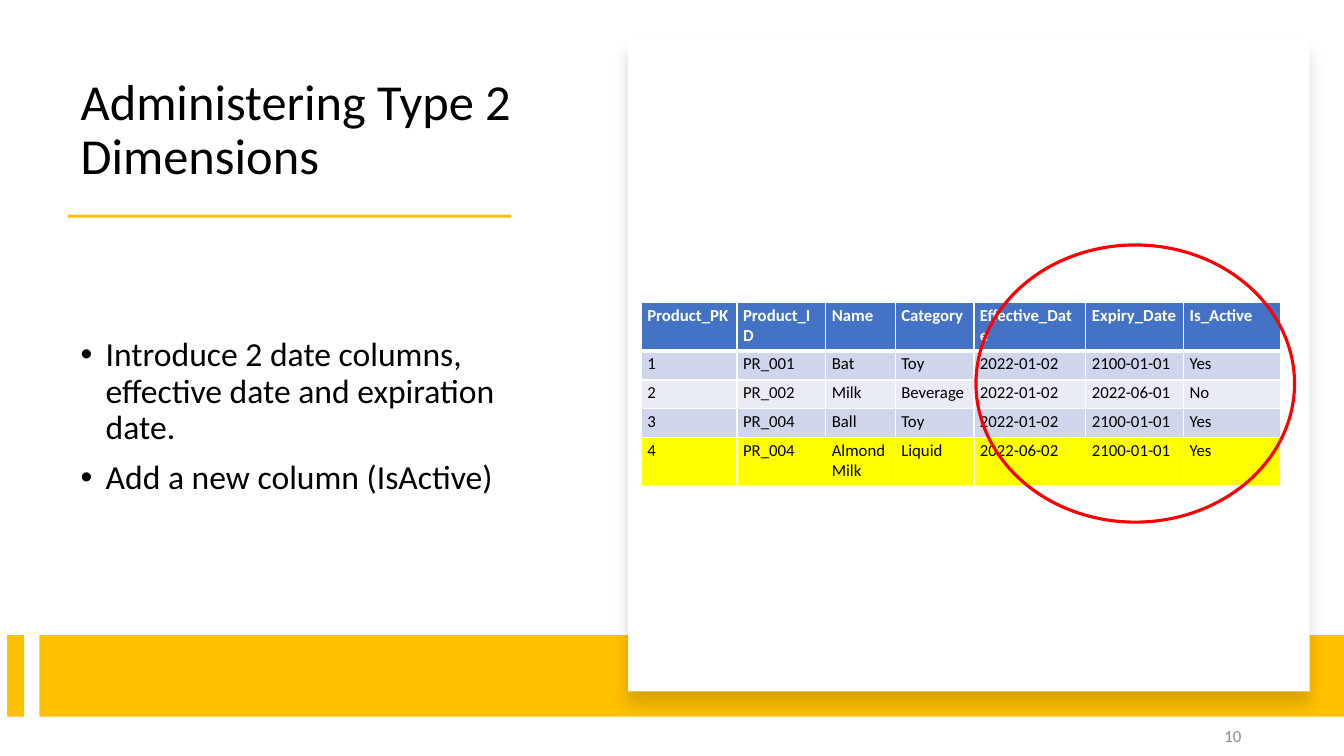
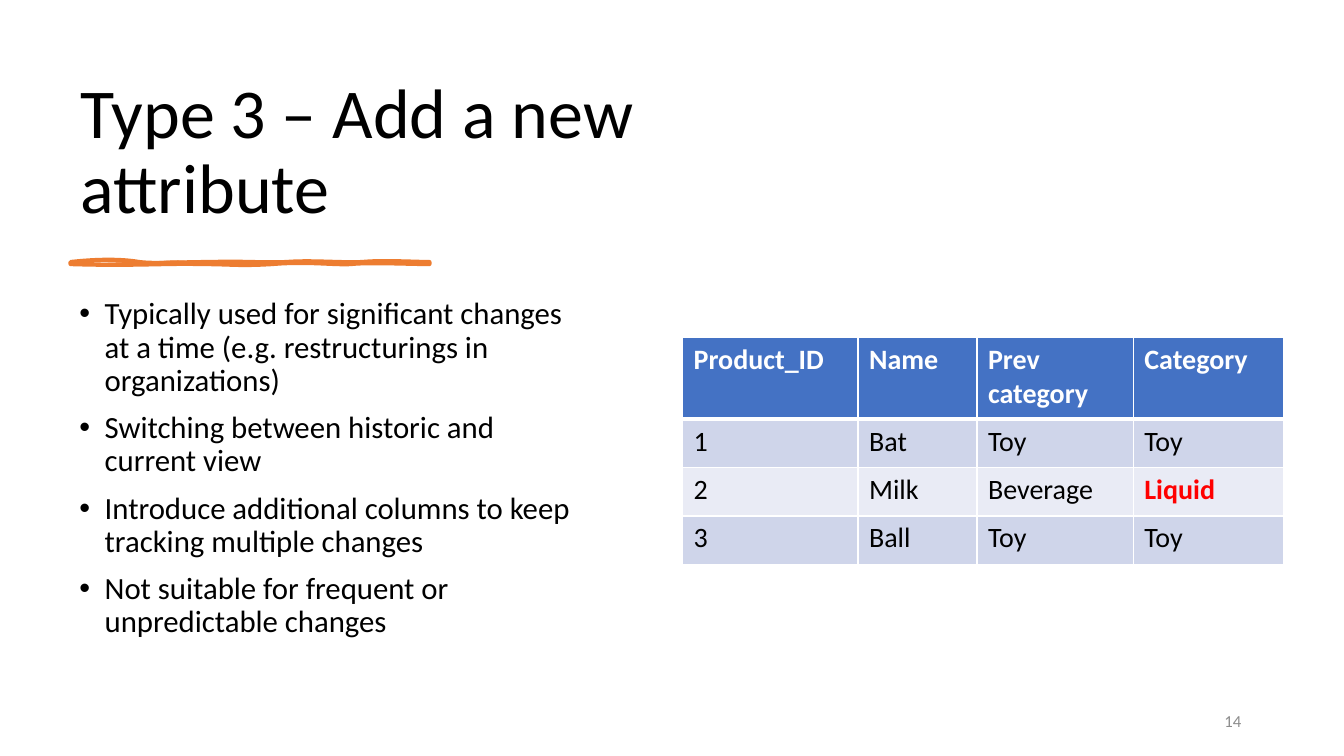
from copy import deepcopy
from dataclasses import dataclass

from lxml import etree
from pptx import Presentation
from pptx.dml.color import RGBColor
from pptx.enum.shapes import MSO_SHAPE
from pptx.enum.text import MSO_ANCHOR, MSO_AUTO_SIZE, PP_ALIGN
from pptx.oxml.ns import qn
from pptx.util import Inches, Pt

RECTANGLE, ELLIPSE = MSO_SHAPE.RECTANGLE, MSO_SHAPE.OVAL
TOP, MIDDLE, BOTTOM = MSO_ANCHOR.TOP, MSO_ANCHOR.MIDDLE, MSO_ANCHOR.BOTTOM
LEFT, RIGHT = PP_ALIGN.LEFT, PP_ALIGN.RIGHT
NO_AUTOFIT = MSO_AUTO_SIZE.NONE
TITLE_ONLY_LAYOUT = 5


@dataclass(frozen=True)
class Theme:
    font: str = "Calibri"
    text: str = "000000"
    white: str = "FFFFFF"
    gold: str = "FFC000"
    orange: str = "ED7D31"
    red: str = "FF0000"
    highlight: str = "FFFF00"
    header: str = "4472C4"
    bands: tuple = ("CFD5EA", "E9EBF5")
    muted: str = "8C8C8C"
    number_size: int = 12
    grid_width: int = 1
    header_rule_width: int = 3
    line_spacing: float = 0.9


THEME = Theme()

PRODUCT_HISTORY = [
    ["Product_PK", "Product_ID", "Name", "Category", "Effective_Date", "Expiry_Date", "Is_Active"],
    ["1", "PR_001", "Bat", "Toy", "2022-01-02", "2100-01-01", "Yes"],
    ["2", "PR_002", "Milk", "Beverage", "2022-01-02", "2022-06-01", "No"],
    ["3", "PR_004", "Ball", "Toy", "2022-01-02", "2100-01-01", "Yes"],
    ["4", "PR_004", "Almond Milk", "Liquid", "2022-06-02", "2100-01-01", "Yes"],
]
PREVIOUS_CATEGORIES = [
    ["Product_ID", "Name", "Prev category", "Category"],
    ["1", "Bat", "Toy", "Toy"],
    ["2", "Milk", "Beverage", "Liquid"],
    ["3", "Ball", "Toy", "Toy"],
]

# Each brush contour is a start point, then Bézier segments (two controls, end).
BRUSH_START = (0.7, 2.6)
BRUSH_OUTLINE = [
    (0.97, 2.57, 1.21, 2.57, 1.38, 2.6), (1.55, 2.62, 1.77, 2.6, 2.09, 2.6),
    (2.41, 2.59, 2.6, 2.61, 2.84, 2.6), (3.08, 2.58, 3.39, 2.61, 3.59, 2.6),
    (3.79, 2.58, 4.12, 2.6, 4.26, 2.6), (4.26, 2.6, 4.26, 2.61, 4.26, 2.62),
    (4.08, 2.62, 3.64, 2.6, 3.48, 2.62), (3.32, 2.63, 3.04, 2.59, 2.7, 2.62),
    (2.35, 2.64, 2.31, 2.62, 1.99, 2.62), (1.66, 2.61, 1.32, 2.64, 0.7, 2.62),
    (0.7, 2.61, 0.7, 2.6, 0.7, 2.6),
]
BRUSH_FILL = [
    (1.02, 2.62, 1.1, 2.6, 1.38, 2.6), (1.66, 2.59, 1.69, 2.57, 1.99, 2.6),
    (2.28, 2.62, 2.61, 2.61, 2.77, 2.6), (2.93, 2.58, 3.27, 2.62, 3.44, 2.6),
    (3.62, 2.57, 3.97, 2.63, 4.26, 2.6), (4.26, 2.6, 4.26, 2.61, 4.26, 2.62),
    (4.12, 2.61, 3.72, 2.64, 3.55, 2.62), (3.38, 2.59, 3.09, 2.62, 2.77, 2.62),
    (2.44, 2.61, 2.4, 2.6, 2.16, 2.62), (1.93, 2.63, 1.79, 2.61, 1.45, 2.62),
    (1.11, 2.62, 0.92, 2.61, 0.7, 2.62), (0.7, 2.61, 0.7, 2.6, 0.7, 2.6),
]


def color(value):
    return RGBColor.from_string(value)


def box(left, top, width, height):
    return tuple(Inches(length) for length in (left, top, width, height))


def format_font(paragraph, size, font_color=THEME.text, bold=False):
    font = paragraph.font
    font.name, font.size, font.bold = THEME.font, Pt(size), bold
    font.color.rgb = color(font_color)


def paint(shape, fill=None, line=None, line_width=1):
    shape.shadow.inherit = False
    if fill:
        shape.fill.solid()
        shape.fill.fore_color.rgb = color(fill)
    else:
        shape.fill.background()
    if line:
        shape.line.color.rgb = color(line)
        shape.line.width = Pt(line_width)
    else:
        shape.line.fill.background()


def add_preset(slide, preset, area, **colors):
    shape = slide.shapes.add_shape(preset, *box(*area))
    paint(shape, **colors)
    return shape


def add_soft_shadow(shape):
    effects = shape._element.spPr.find(qn("a:effectLst"))
    shadow = etree.SubElement(
        effects, qn("a:outerShdw"), blurRad=str(Pt(11)), dist=str(Pt(10)),
        dir=str(90 * 60000), algn="t", rotWithShape="0")
    shadow_color = etree.SubElement(shadow, qn("a:srgbClr"), val=THEME.text)
    etree.SubElement(shadow_color, qn("a:alpha"), val="15000")


def add_titled_slide(presentation, title, area, size):
    slide = presentation.slides.add_slide(presentation.slide_layouts[TITLE_ONLY_LAYOUT])
    shape = slide.shapes.title
    shape.left, shape.top, shape.width, shape.height = box(*area)
    frame = shape.text_frame
    frame.text = title
    frame.word_wrap, frame.auto_size = True, NO_AUTOFIT
    frame.vertical_anchor = BOTTOM
    paragraph = frame.paragraphs[0]
    paragraph.alignment = LEFT
    paragraph.line_spacing = THEME.line_spacing
    format_font(paragraph, size)
    return slide


def add_text_frame(slide, area, anchor):
    frame = slide.shapes.add_textbox(*box(*area)).text_frame
    frame.word_wrap, frame.vertical_anchor = True, anchor
    return frame


def add_bullets(slide, area, items, size, anchor=TOP):
    frame = add_text_frame(slide, area, anchor)
    frame.text = "\n".join(items)
    for paragraph in frame.paragraphs:
        paragraph.line_spacing = THEME.line_spacing
        paragraph.space_before = Pt(10)
        properties = paragraph._p.get_or_add_pPr()
        properties.set("marL", str(Inches(0.25)))
        properties.set("indent", str(-Inches(0.25)))
        etree.SubElement(properties, qn("a:buFont"), typeface="Arial")
        etree.SubElement(properties, qn("a:buChar"), char="•")
        format_font(paragraph, size)


def add_page_number(slide, number, top):
    frame = add_text_frame(slide, (9.41, top, 3, 0.4), MIDDLE)
    frame.text = str(number)
    paragraph = frame.paragraphs[0]
    paragraph.alignment, paragraph.space_after = RIGHT, Pt(6)
    format_font(paragraph, THEME.number_size, THEME.muted)


def set_borders(cell, row_index):
    """Draw the white grid, with a heavier rule under the header row."""
    widths = dict.fromkeys(("lnL", "lnR", "lnT", "lnB"), THEME.grid_width)
    if row_index < 2:
        widths["lnT" if row_index else "lnB"] = THEME.header_rule_width
    properties = cell._tc.get_or_add_tcPr()
    for position, (side, width) in enumerate(widths.items()):
        line = etree.Element(qn(f"a:{side}"), w=str(Pt(width)))
        fill = etree.SubElement(line, qn("a:solidFill"))
        etree.SubElement(fill, qn("a:srgbClr"), val=THEME.white)
        properties.insert(position, line)


def add_data_table(slide, position, rows, columns, heights, size, margins,
                   highlighted_row=None, changed_cell=None):
    area = (*position, sum(columns), sum(heights))
    table = slide.shapes.add_table(len(rows), len(columns), *box(*area)).table
    table.horz_banding = False
    for column, width in zip(table.columns, columns):
        column.width = Inches(width)
    for row_index, values in enumerate(rows):
        table.rows[row_index].height = Inches(heights[row_index])
        is_header = row_index == 0
        fill = THEME.header if is_header else THEME.bands[(row_index - 1) % 2]
        if row_index == highlighted_row:
            fill = THEME.highlight
        for column_index, value in enumerate(values):
            cell = table.cell(row_index, column_index)
            cell.text = value
            cell.margin_left = cell.margin_right = Inches(margins[0])
            cell.margin_top = cell.margin_bottom = Inches(margins[1])
            cell.fill.solid()
            cell.fill.fore_color.rgb = color(fill)
            set_borders(cell, row_index)
            is_changed = (row_index, column_index) == changed_cell
            font_color = THEME.white if is_header else THEME.red if is_changed else THEME.text
            format_font(cell.text_frame.paragraphs[0], size, font_color, is_header or is_changed)


def curve_segments(outline):
    """Turn each three line segments of a path into one cubic Bézier segment."""
    lines = outline.findall(qn("a:lnTo"))
    for first, second, end in zip(lines[::3], lines[1::3], lines[2::3]):
        curve = etree.Element(qn("a:cubicBezTo"))
        first.addprevious(curve)
        for line in (first, second, end):
            curve.append(line[0])
            outline.remove(line)


def add_brush_stroke(slide, stroke_color):
    """Add one freeform with a stroked contour and a filled contour."""
    start = tuple(Inches(value) for value in BRUSH_START)
    builder = slide.shapes.build_freeform(*start)
    for segments in (BRUSH_OUTLINE, BRUSH_FILL):
        if segments is BRUSH_FILL:
            builder.move_to(*start)
        points = [(Inches(segment[i]), Inches(segment[i + 1]))
                  for segment in segments for i in (0, 2, 4)]
        builder.add_line_segments(points, close=True)
    shape = builder.convert_to_shape()
    paint(shape, fill=stroke_color, line=stroke_color, line_width=3)

    stroked = next(shape._element.iter(qn("a:path")))
    curve_segments(stroked)
    filled = deepcopy(stroked)
    stroked.addnext(filled)
    split = stroked.index(stroked.findall(qn("a:moveTo"))[1])
    del stroked[split:]
    del filled[:split]
    stroked.set("fill", "none")
    filled.set("stroke", "0")


def build_type_two_slide(presentation):
    slide = add_titled_slide(presentation, "Administering Type 2 Dimensions",
                             (0.7, 0.58, 4.68, 1.31), 36)
    add_preset(slide, RECTANGLE, (0.67, 2.13, 4.4, 0.03), fill=THEME.gold)
    add_bullets(slide, (0.7, 2.22, 4.68, 3.84), [
        "Introduce 2 date columns, effective date and expiration date.",
        "Add a new column (IsActive)",
    ], 24, MIDDLE)
    for left, width in ((0.07, 0.17), (0.39, 12.94)):
        add_preset(slide, RECTANGLE, (left, 6.3, width, 0.81), fill=THEME.gold)
    card = add_preset(slide, RECTANGLE, (6.23, 0.39, 6.76, 6.47), fill=THEME.white)
    add_soft_shadow(card)
    add_page_number(slide, 10, 7.1)
    add_data_table(slide, (6.36, 3), PRODUCT_HISTORY,
                   columns=(0.95, 0.88, 0.69, 0.78, 1.11, 0.97, 0.96),
                   heights=(0.48, 0.29, 0.28, 0.29, 0.48),
                   size=12, margins=(0.06, 0.03), highlighted_row=4)
    add_preset(slide, ELLIPSE, (9.68, 2.43, 3.16, 2.75), line=THEME.red, line_width=2.25)


def build_type_three_slide(presentation):
    slide = add_titled_slide(presentation, "Type 3 – Add a new attribute",
                             (0.7, 0.7, 6.4, 1.62), 50)
    add_brush_stroke(slide, THEME.orange)
    add_bullets(slide, (0.69, 2.91, 5.27, 3.88), [
        "Typically used for significant changes at a time (e.g. restructurings in organizations)",
        "Switching between historic and current view",
        "Introduce additional columns to keep tracking multiple changes",
        "Not suitable for frequent or unpredictable changes",
    ], 22)
    add_page_number(slide, 14, 6.95)
    add_data_table(slide, (6.77, 3.35), PREVIOUS_CATEGORIES,
                   columns=(1.74, 1.18, 1.55, 1.49),
                   heights=(0.81, 0.48, 0.48, 0.48),
                   size=20, margins=(0.11, 0.05), changed_cell=(2, 3))


def main():
    presentation = Presentation()
    presentation.slide_width, presentation.slide_height = Inches(13.33), Inches(7.5)
    build_type_two_slide(presentation)
    build_type_three_slide(presentation)
    presentation.save("out.pptx")


if __name__ == "__main__":
    main()
